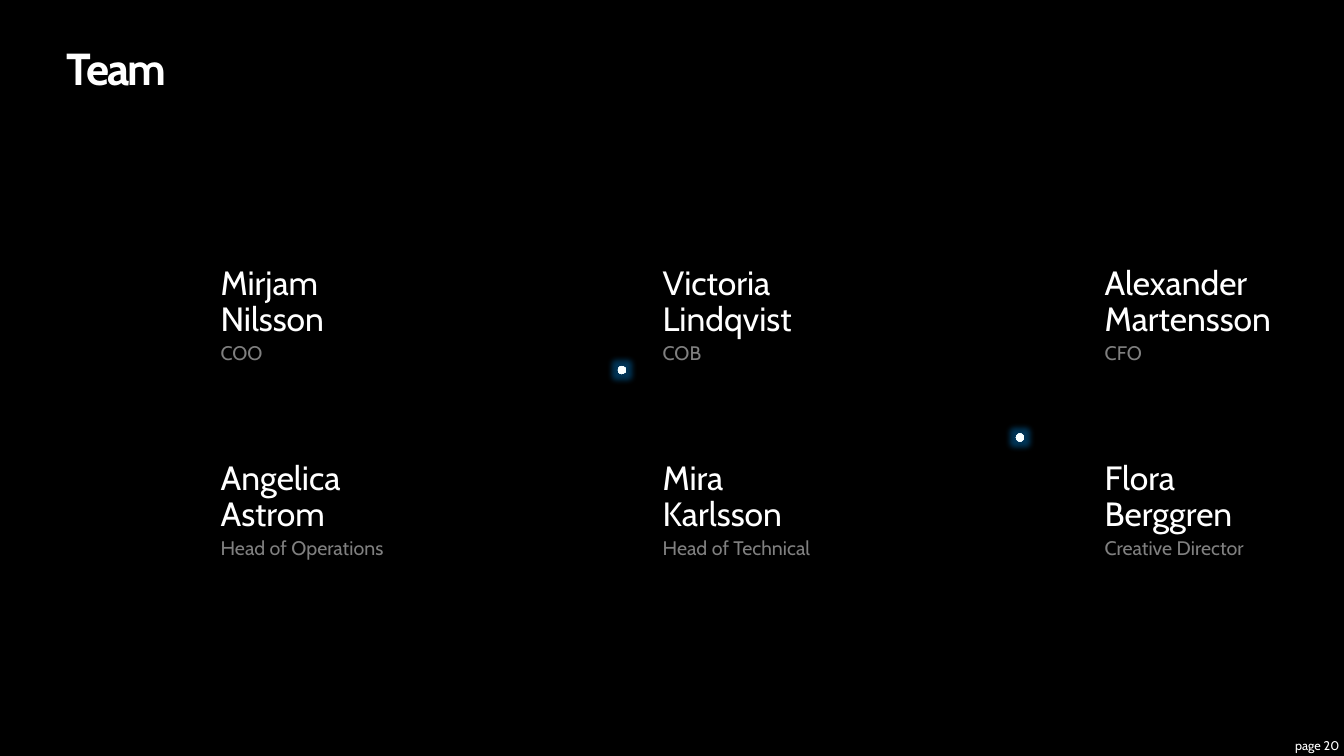
from lxml import etree
from pptx import Presentation
from pptx import util as u
from pptx.dml.color import RGBColor
from pptx.enum import shapes, text
from pptx.oxml import parse_xml
from pptx.oxml.ns import nsdecls, qn

TEAM = [
    [("Mirjam Nilsson", "COO"), ("Victoria Lindqvist", "COB"),
     ("Alexander Martensson", "CFO")],
    [("Angelica Astrom", "Head of Operations"), ("Mira Karlsson", "Head of Technical"),
     ("Flora Berggren", "Creative Director")],
]
LEFT, TOP = 5.56, 6.71
COLUMN_STEP, ROW_STEP = 11.14, 4.92
MEMBER_WIDTH, NAME_HEIGHT, ROLE_HEIGHT, ROLE_DROP = 4.37, 1.83, 0.99, 1.95

NAME = {"size": u.Pt(24)}
ROLE = {"size": u.Pt(14)}
TITLE = {"size": u.Pt(32), "bold": True}
FOOTER = {"size": u.Pt(9)}

DOT_SIZE = 0.21
DOTS = [(25.6, 10.92), (15.57, 9.22)]
DOT_STOPS = [(0, "FFFFFF"), (65, "F7FFFF"), (70, "C1E4FF")]
GLOW_COLOR, GLOW_OPACITY, GLOW_RADIUS = "0084D8", 40, u.Pt(8)


def rgb(value):
    return RGBColor.from_string(value)


def add_text(page, words, place, font, color="FFFFFF", anchor=text.MSO_ANCHOR.TOP,
             align=text.PP_ALIGN.LEFT, line_spacing=0.9):
    """Add a one-paragraph box without margins and return its run."""
    box = page.shapes.add_textbox(*(u.Cm(length) for length in place))
    frame_format = {"word_wrap": True, "vertical_anchor": anchor, "margin_left": 0,
                    "margin_right": 0, "margin_top": 0, "margin_bottom": 0}
    for name, value in frame_format.items():
        setattr(box.text_frame, name, value)
    para = box.text_frame.paragraphs[0]
    para.alignment = align
    para.line_spacing = line_spacing
    span = para.add_run()
    span.text = words
    for name, value in {"name": "Cabin", **font}.items():
        setattr(span.font, name, value)
    span.font.color.rgb = rgb(color)
    return span


def add_member(page, name, role, left, top):
    add_text(page, name, (left, top, MEMBER_WIDTH, NAME_HEIGHT), NAME,
             anchor=text.MSO_ANCHOR.BOTTOM)
    add_text(page, role, (left, top + ROLE_DROP, MEMBER_WIDTH, ROLE_HEIGHT), ROLE,
             color="808080")


def add_glowing_dot(page, left, top):
    dot = page.shapes.add_shape(shapes.MSO_SHAPE.OVAL, u.Cm(left), u.Cm(top),
                                u.Cm(DOT_SIZE), u.Cm(DOT_SIZE))
    dot.shadow.inherit = False
    dot.line.fill.background()
    stops = "".join(f'<a:gs pos="{pos * 1000}"><a:srgbClr val="{color}"/></a:gs>'
                    for pos, color in DOT_STOPS)
    gradient = parse_xml(
        f'<a:gradFill {nsdecls("a")}><a:gsLst>{stops}</a:gsLst><a:path path="circle">'
        '<a:fillToRect l="50000" t="50000" r="50000" b="50000"/></a:path></a:gradFill>')
    properties = dot.element.spPr
    properties.find(qn("a:prstGeom")).addnext(gradient)
    effects = properties.find(qn("a:effectLst"))
    glow = etree.SubElement(effects, qn("a:glow"), rad=str(int(GLOW_RADIUS)))
    color = etree.SubElement(glow, qn("a:srgbClr"), val=GLOW_COLOR)
    etree.SubElement(color, qn("a:alpha"), val=str(GLOW_OPACITY * 1000))


def main():
    deck = Presentation()
    deck.slide_width, deck.slide_height = u.Cm(33.87), u.Cm(19.05)
    page = deck.slides.add_slide(deck.slide_layouts[6])
    page.background.fill.solid()
    page.background.fill.fore_color.rgb = rgb("000000")

    title = add_text(page, "Team", (1.68, 1.19, 27.71, 1.19), TITLE,
                     anchor=text.MSO_ANCHOR.MIDDLE)
    title.font._element.set("spc", "-150")
    for row, members in enumerate(TEAM):
        for column, (name, role) in enumerate(members):
            add_member(page, name, role, LEFT + column * COLUMN_STEP, TOP + row * ROW_STEP)
    add_text(page, "page 20", (32.23, 18.57, 1.52, 0.43), FOOTER,
             anchor=text.MSO_ANCHOR.MIDDLE, align=text.PP_ALIGN.RIGHT, line_spacing=1.0)
    for left, top in DOTS:
        add_glowing_dot(page, left, top)
    deck.save("out.pptx")


if __name__ == "__main__":
    main()
